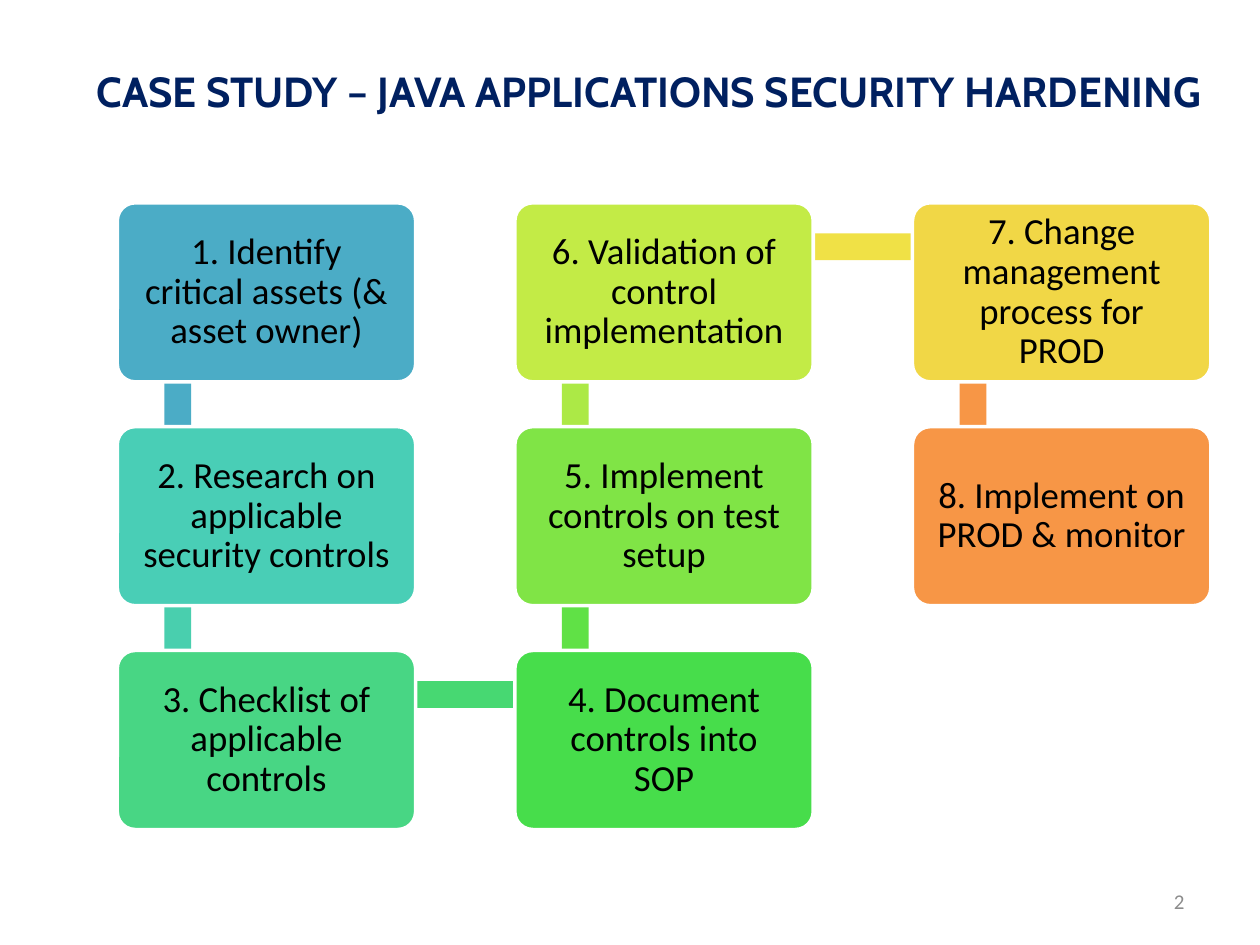
from dataclasses import dataclass
from math import atan2, degrees, hypot

from pptx import Presentation
from pptx.dml.color import RGBColor
from pptx.enum.shapes import MSO_SHAPE
from pptx.enum.text import MSO_ANCHOR, PP_ALIGN
from pptx.util import Pt


@dataclass(frozen=True)
class Theme:
    title_font: str = "Cabin"
    body_font: str = "Calibri"
    title_size: float = 24
    step_size: float = 21
    number_size: float = 12
    title_color: str = "002060"
    step_color: str = "000000"
    number_color: str = "8C8C8C"
    outline: str = "FFFFFF"
    step_fills: tuple = ("4BACC6", "49CEB6", "48D684", "47DD4B",
                         "80E446", "C3EB46", "F1D746", "F79646")
    link_fills: tuple = ("4BACC6", "49CFAE", "47D872", "60E146",
                         "ACE946", "F0E146", "F79646")


class SlideBuilder:
    def __init__(self, slide, theme):
        self.slide = slide
        self.theme = theme

    def set_text(self, frame, text, font, size, color, align, bold=False):
        frame.word_wrap = True
        frame.vertical_anchor = MSO_ANCHOR.MIDDLE
        paragraph = frame.paragraphs[0]
        paragraph.text = text
        paragraph.alignment = align
        paragraph.font.name = font
        paragraph.font.size = Pt(size)
        paragraph.font.bold = bold
        paragraph.font.color.rgb = RGBColor.from_string(color)
        return paragraph

    def title(self, text, left, top, width, height):
        heading = self.slide.shapes.title
        heading.left, heading.top = Pt(left), Pt(top)
        heading.width, heading.height = Pt(width), Pt(height)
        self.set_text(heading.text_frame, text, self.theme.title_font,
                      self.theme.title_size, self.theme.title_color,
                      PP_ALIGN.CENTER, bold=True)

    def filled(self, preset, fill, left, top, width, height):
        shape = self.slide.shapes.add_shape(
            preset, Pt(left), Pt(top), Pt(width), Pt(height))
        shape.shadow.inherit = False
        shape.fill.solid()
        shape.fill.fore_color.rgb = RGBColor.from_string(fill)
        return shape

    def link(self, start, end, fill, thickness=15.3, trim=0.6):
        (x1, y1), (x2, y2) = start, end
        length = hypot(x2 - x1, y2 - y1) - trim
        bar = self.filled(MSO_SHAPE.RECTANGLE, fill,
                          (x1 + x2 - length) / 2, (y1 + y2 - thickness) / 2,
                          length, thickness)
        bar.rotation = degrees(atan2(y2 - y1, x2 - x1)) % 360
        bar.line.fill.background()

    def step(self, text, fill, left, top, width, height, inset=9.5):
        card = self.filled(MSO_SHAPE.ROUNDED_RECTANGLE, fill,
                           left, top, width, height)
        card.adjustments[0] = 0.1
        card.line.color.rgb = RGBColor.from_string(self.theme.outline)
        card.line.width = Pt(2)
        frame = card.text_frame
        frame.margin_left = frame.margin_right = Pt(inset)
        frame.margin_top = frame.margin_bottom = Pt(inset)
        paragraph = self.set_text(frame, text, self.theme.body_font,
                                  self.theme.step_size, self.theme.step_color,
                                  PP_ALIGN.CENTER)
        paragraph.line_spacing = 0.9

    def page_number(self, text, left, top, width, height):
        box = self.slide.shapes.add_textbox(
            Pt(left), Pt(top), Pt(width), Pt(height))
        self.set_text(box.text_frame, text, self.theme.body_font,
                      self.theme.number_size, self.theme.number_color,
                      PP_ALIGN.RIGHT)


STEPS = (
    "1. Identify critical assets (& asset owner)",
    "2. Research on applicable security controls",
    "3. Checklist of applicable controls",
    "4. Document controls into SOP",
    "5. Implement controls on test setup",
    "6. Validation of control implementation",
    "7. Change management process for PROD",
    "8. Implement on PROD & monitor",
)
ROWS = 3
GRID_LEFT, GRID_TOP = 67, 115.9
COLUMN_PITCH, ROW_PITCH = 227.2, 127.9
CARD_WIDTH, CARD_HEIGHT = 170.5, 102.3
LINK_DX, LINK_DY = 34.6, 25.2


def snake_position(index):
    column, row = divmod(index, ROWS)
    if column % 2:
        row = ROWS - 1 - row
    return GRID_LEFT + column * COLUMN_PITCH, GRID_TOP + row * ROW_PITCH


def main():
    presentation = Presentation()
    presentation.slide_width, presentation.slide_height = Pt(720), Pt(540)
    theme = Theme()
    slide = presentation.slides.add_slide(presentation.slide_layouts[5])
    builder = SlideBuilder(slide, theme)

    builder.title("CASE STUDY – JAVA APPLICATIONS SECURITY HARDENING",
                  46.8, 16.6, 648, 70.6)
    builder.page_number("2", 516, 500.5, 168, 28.75)

    corners = [snake_position(index) for index in range(len(STEPS))]
    anchors = [(left + LINK_DX, top + LINK_DY) for left, top in corners]
    for index, (text, corner) in enumerate(zip(STEPS, corners)):
        if index < len(theme.link_fills):
            builder.link(anchors[index], anchors[index + 1],
                         theme.link_fills[index])
        builder.step(text, theme.step_fills[index], *corner,
                     CARD_WIDTH, CARD_HEIGHT)

    presentation.save("out.pptx")


if __name__ == "__main__":
    main()
